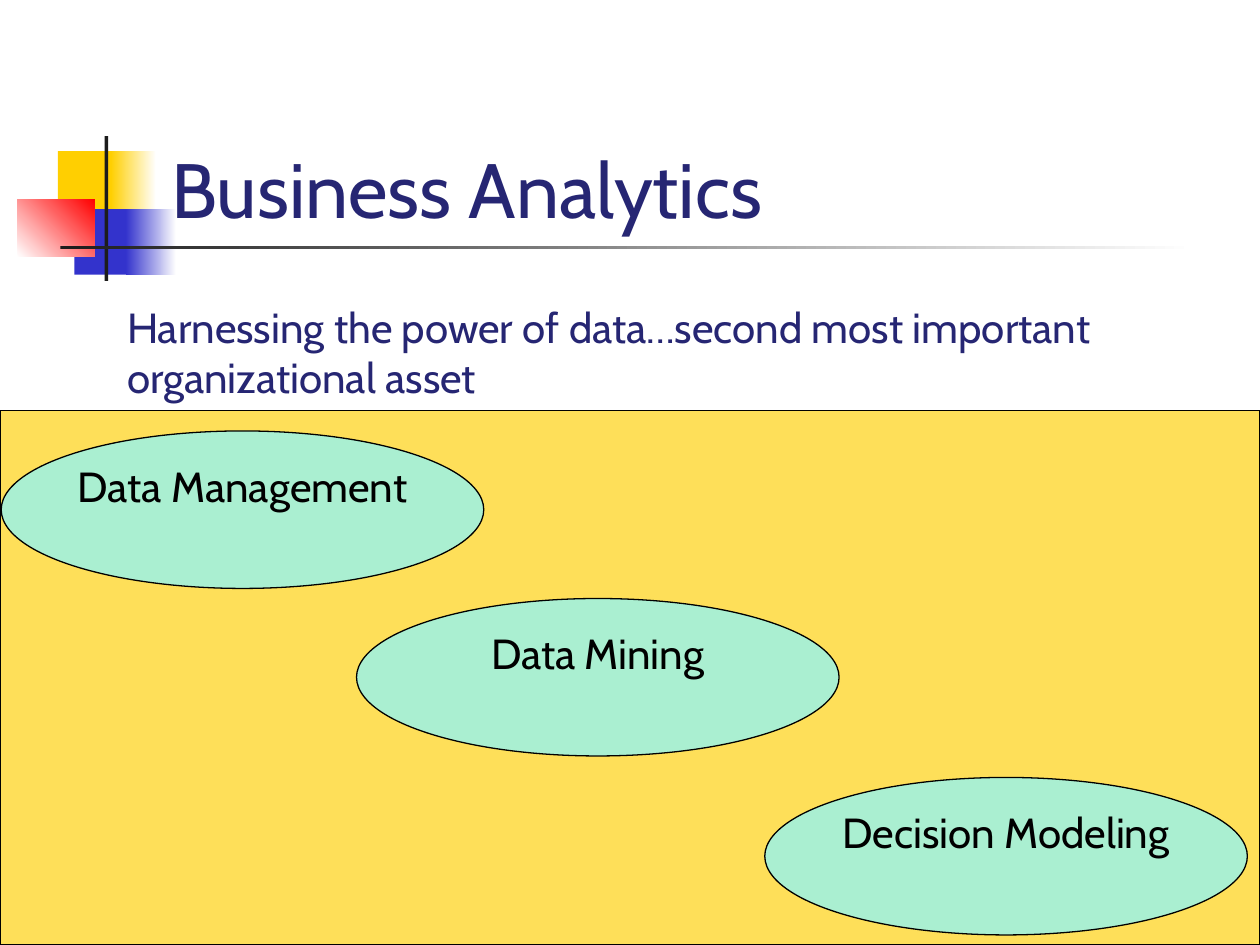
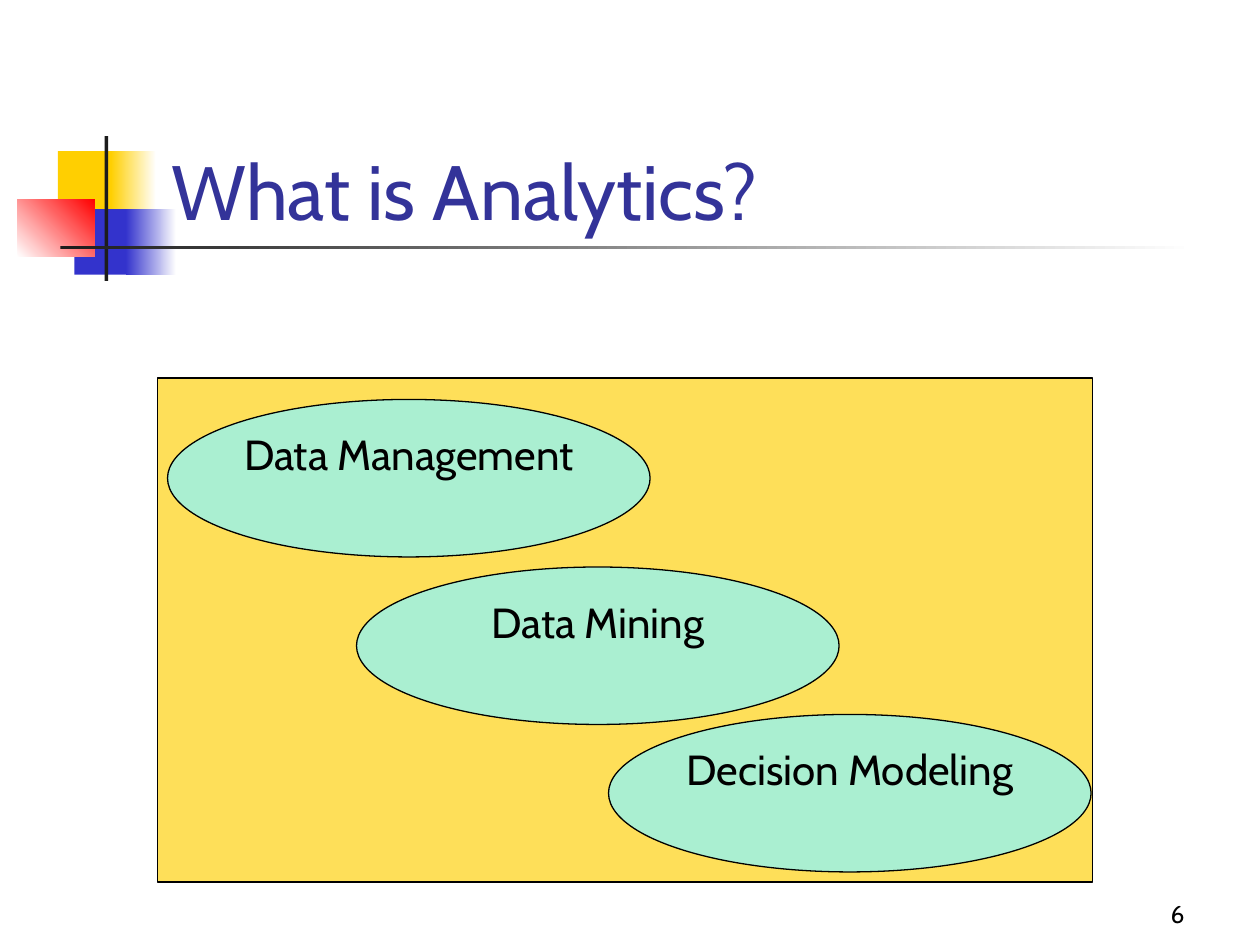
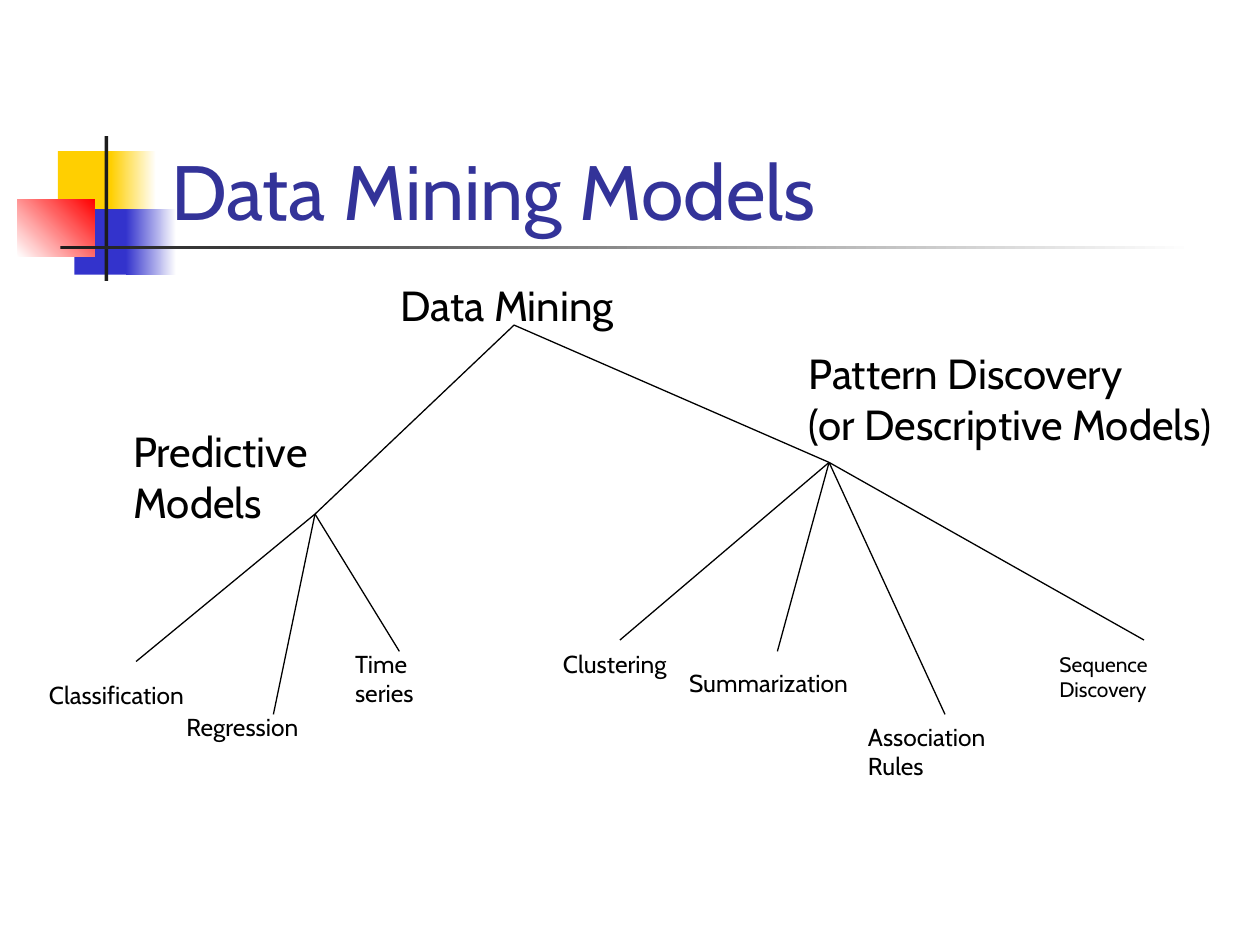
"""Builds three slides on business analytics and data mining models."""
from dataclasses import dataclass

from lxml.etree import SubElement
from pptx import Presentation
from pptx.dml.color import RGBColor
from pptx.enum.shapes import MSO_CONNECTOR as CONN, MSO_SHAPE as SHAPE
from pptx.enum.text import MSO_ANCHOR as ANCHOR, MSO_AUTO_SIZE as FIT, PP_ALIGN as ALIGN
from pptx.oxml.ns import qn
from pptx.util import Inches, Pt


@dataclass(frozen=True)
class Theme:
    font: str = "Cabin"
    ink: str = "000000"
    navy: str = "262673"
    indigo: str = "333399"
    panel: str = "FEDF59"
    mint: str = "AAEFD1"
    yellow: str = "FFCF01"
    blue: str = "3333CC"
    red: str = "FF0000"
    dark: str = "1C1C1C"
    white: str = "FFFFFF"
    title: int = 44
    text: int = 24
    leaf: int = 14
    small: int = 12
    line: float = 0.75


T = Theme()

EMBLEM = [
    ((0.46, 1.2, 0.48, 0.52), (T.yellow,), 0),
    ((0.88, 1.2, 0.36, 0.52), (T.yellow, T.white), 0),
    ((0.59, 1.66, 0.46, 0.52), (T.blue,), 0),
    ((1, 1.66, 0.4, 0.52), (T.blue, T.white), 0),
    ((0.14, 1.58, 0.61, 0.46), (T.white, T.red), 45),
    ((0.83, 1.08, 0.03, 1.15), (T.dark,), 0),
    ((0.48, 1.95, 9, 0.03), (T.dark, T.white), 0),
]

TITLE_BOX = (1.26, 0.67, 8.52, 1.25)
OVAL_SIZE = (3.83, 1.25)
STAGES = ["Data Management", "Data Mining", "Decision Modeling"]

OVERVIEW = {
    "title": "Business Analytics",
    "title_box": (1.26, 0.67, 5.82, 1.24),
    "panel": (0, 3.26, 10, 4.24),
    "ovals": [(0.01, 3.42), (2.83, 4.75), (6.07, 6.17)],
    "subtitle": "Harnessing the power of data…second most important organizational asset",
    "subtitle_box": (0.91, 2, 8.99, 1.24),
}
DEFINITION = {
    "title": "What is Analytics?",
    "panel": (1.25, 3, 7.42, 4),
    "ovals": [(1.33, 3.17), (2.83, 4.5), (4.83, 5.67)],
    "number": "6",
    "number_box": (7.42, 6.92, 2.08, 0.5),
}

MODELS_TITLE = "Data Mining Models"
ROOT, PREDICTIVE, PATTERN = (4.08, 2.58), (2.5, 4.08), (6.58, 3.67)
BRANCHES = {
    ROOT: [PREDICTIVE, PATTERN],
    PREDICTIVE: [(1.08, 5.25), (2.17, 5.67), (3.17, 5.17)],
    PATTERN: [(4.92, 5.08), (6.17, 5.17), (7.5, 5.67), (9.08, 5.08)],
}
GROUPS = [
    (["Data Mining"], (3.08, 2.17, 2.58, 0.5)),
    (["Predictive", "Models"], (0.96, 3.33, 2.13, 0.9)),
    (["Pattern Discovery", "(or Descriptive Models)"], (6.32, 2.71, 3.68, 1.3)),
]
LEAVES = [
    (["Classification"], (0.29, 5.35, 1.4, 0.34), T.leaf),
    (["Regression"], (1.38, 5.6, 1.21, 0.34), T.leaf),
    (["Time", "series"], (2.72, 5.1, 0.74, 0.57), T.leaf),
    (["Clustering"], (4.37, 5.1, 1.14, 0.34), T.leaf),
    (["Summarization"], (5.37, 5.25, 1.59, 0.34), T.leaf),
    (["Association", "Rules"], (6.79, 5.68, 1.24, 0.57), T.leaf),
    (["Sequence", "Discovery"], (8.31, 5.12, 0.96, 0.5), T.small),
]


def rgb(color):
    return RGBColor.from_string(color)


def inches(values):
    return [Inches(v) for v in values]


def write(tf, lines, size, color=T.ink, align=ALIGN.LEFT, anchor=ANCHOR.TOP, wrap=True):
    tf.word_wrap = wrap
    tf.vertical_anchor = anchor
    for i, line in enumerate(lines):
        p = tf.add_paragraph() if i else tf.paragraphs[0]
        p.alignment = align
        r = p.add_run()
        r.text = line
        r.font.name = T.font
        r.font.size = Pt(size)
        r.font.color.rgb = rgb(color)


def add_text(s, lines, box, size, fit=FIT.NONE, **style):
    tf = s.shapes.add_textbox(*inches(box)).text_frame
    write(tf, lines, size, **style)
    tf.auto_size = fit


def add_block(s, kind, box, colors, angle=0, outlined=True):
    sp = s.shapes.add_shape(kind, *inches(box))
    sp.shadow.inherit = False
    if len(colors) == 1:
        sp.fill.solid()
        sp.fill.fore_color.rgb = rgb(colors[0])
    else:
        sp.fill.gradient()
        sp.fill.gradient_angle = angle
        for stop, color in zip(sp.fill.gradient_stops, colors):
            stop.color.rgb = rgb(color)
    if outlined:
        sp.line.color.rgb = rgb(T.ink)
        sp.line.width = Pt(T.line)
    else:
        sp.line.fill.background()
    return sp


def add_branch(s, start, end):
    cn = s.shapes.add_connector(CONN.STRAIGHT, *inches(start + end))
    cn.line.color.rgb = rgb(T.ink)
    cn.line.width = Pt(T.line)
    SubElement(cn._element.spPr, qn("a:effectLst"))


def add_slide(prs, title, box=TITLE_BOX, color=T.indigo):
    s = prs.slides.add_slide(prs.slide_layouts.get_by_name("Title Only"))
    sp = s.shapes.title
    sp.left, sp.top, sp.width, sp.height = inches(box)
    write(sp.text_frame, [title], T.title, color, anchor=ANCHOR.BOTTOM)
    sp.text_frame.auto_size = FIT.NONE
    return s


def add_emblem(prs, s):
    tree = prs.slide_master.shapes._spTree
    for i, (box, colors, angle) in enumerate(EMBLEM):
        sp = add_block(s, SHAPE.RECTANGLE, box, colors, angle, outlined=False)
        tree.insert(2 + i, sp._element)


def add_stages(s, content):
    add_block(s, SHAPE.RECTANGLE, content["panel"], (T.panel,))
    for label, corner in zip(STAGES, content["ovals"]):
        sp = add_block(s, SHAPE.OVAL, corner + OVAL_SIZE, (T.mint,))
        write(sp.text_frame, [label], T.text, align=ALIGN.CENTER, wrap=False)


def main():
    prs = Presentation()
    prs.slide_width, prs.slide_height = Inches(10), Inches(7.5)

    s = add_slide(prs, OVERVIEW["title"], OVERVIEW["title_box"], T.navy)
    add_emblem(prs, s)
    add_stages(s, OVERVIEW)
    add_text(s, [OVERVIEW["subtitle"]], OVERVIEW["subtitle_box"], T.text,
             color=T.navy, anchor=ANCHOR.BOTTOM)

    s = add_slide(prs, DEFINITION["title"])
    add_stages(s, DEFINITION)
    add_text(s, [DEFINITION["number"]], DEFINITION["number_box"], T.leaf,
             align=ALIGN.RIGHT, anchor=ANCHOR.BOTTOM)

    s = add_slide(prs, MODELS_TITLE)
    for node, children in BRANCHES.items():
        for child in children:
            add_branch(s, node, child)
    for lines, box in GROUPS:
        add_text(s, lines, box, T.text, FIT.SHAPE_TO_FIT_TEXT)
    for lines, box, size in LEAVES:
        add_text(s, lines, box, size, FIT.SHAPE_TO_FIT_TEXT, wrap=False)

    prs.save("out.pptx")


if __name__ == "__main__":
    main()
